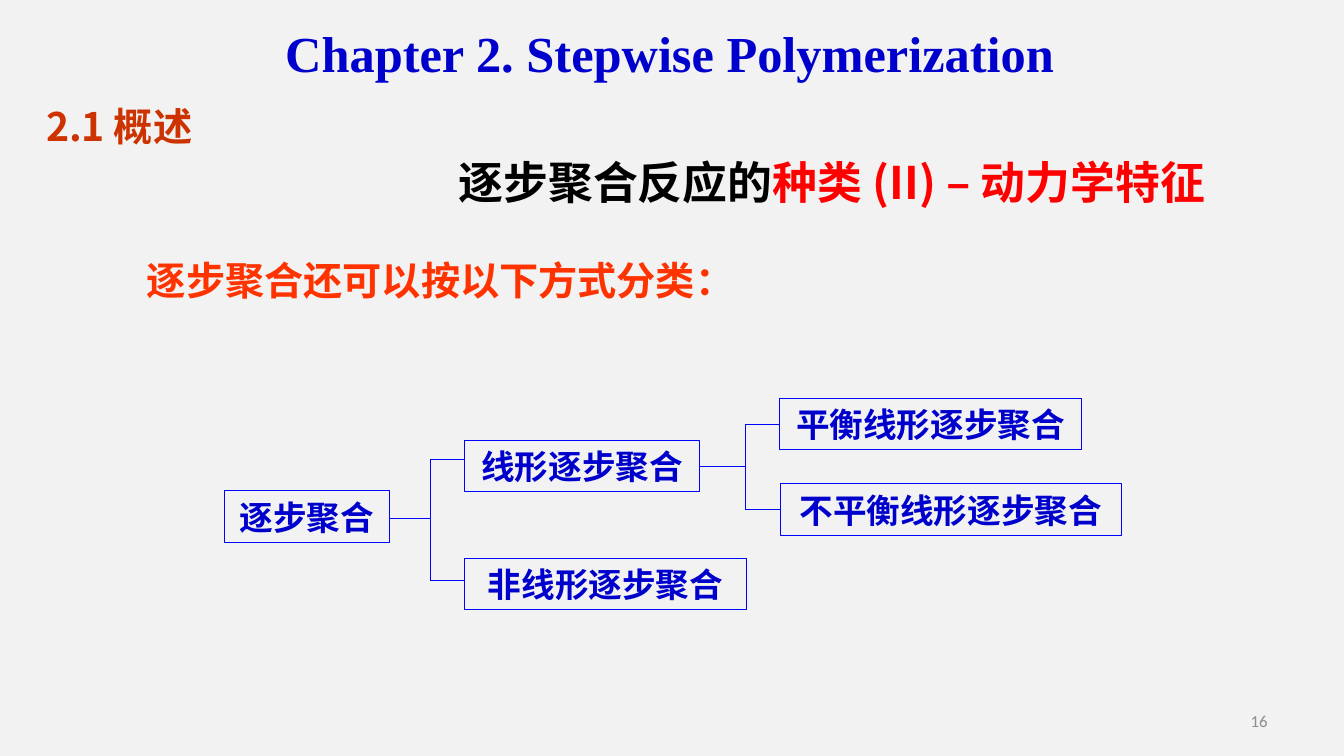
from lxml.etree import SubElement
from pptx import Presentation
from pptx.dml.color import RGBColor
from pptx.enum.shapes import MSO_CONNECTOR, MSO_SHAPE
from pptx.enum.text import MSO_ANCHOR, PP_ALIGN
from pptx.oxml.ns import qn
from pptx.util import Inches, Pt

WIDTH, HEIGHT = 13.33, 7.5
CHINESE = "Noto Sans CJK SC"
BACKGROUND, LINE, BOX_TEXT = "F2F2F2", "0000FF", "0000CC"

# (left, top, width, height), size, font, bold, alignment, runs of (text, colour)
TEXTS = [
    ((2.73, 0.16, 7.91, 0.71), 36, "Times New Roman", True, PP_ALIGN.LEFT,
     [("Chapter 2. Stepwise Polymerization", "0000CC")]),
    ((0.36, 0.96, 9.14, 0.57), 28, CHINESE, True, PP_ALIGN.LEFT,
     [("2.1 概述", "CC3300")]),
    ((4.45, 1.48, 8.52, 0.64), 32, CHINESE, True, PP_ALIGN.LEFT,
     [("逐步聚合反应的", "000000"), ("种类 (II) – 动力学特征", "FF0000")]),
    ((1.36, 2.53, 8.3, 0.5), 28, CHINESE, True, PP_ALIGN.LEFT,
     [("逐步聚合还可以按以下方式分类：", "FF3300")]),
    ((9.56, 6.95, 3.11, 0.4), 12, "Calibri", False, PP_ALIGN.RIGHT,
     [("16", "8C8C8C")]),
]

BOX_HEIGHT = 0.51
# name: (left, top, width)
BOXES = {
    "逐步聚合": (2.23, 4.87, 1.63),
    "线形逐步聚合": (4.61, 4.37, 2.33),
    "非线形逐步聚合": (4.61, 5.54, 2.79),
    "平衡线形逐步聚合": (7.73, 3.95, 3.0),
    "不平衡线形逐步聚合": (7.74, 4.8, 3.38),
}
# parent, x of the trunk, y of the stem, {child: y of its branch}
BRANCHES = [
    ("逐步聚合", 4.27, 5.14, {"线形逐步聚合": 4.56, "非线形逐步聚合": 5.76}),
    ("线形逐步聚合", 7.39, 4.63, {"平衡线形逐步聚合": 4.21, "不平衡线形逐步聚合": 5.05}),
]


def colour(value):
    return RGBColor.from_string(value)


def write(shape, runs, size, font, bold, alignment):
    frame = shape.text_frame
    frame.word_wrap = True
    frame.vertical_anchor = MSO_ANCHOR.MIDDLE
    paragraph = frame.paragraphs[0]
    paragraph.alignment = alignment
    for text, value in runs:
        run = paragraph.add_run()
        run.text = text
        run.font.size = Pt(size)
        run.font.name = font
        run.font.bold = bold
        run.font.color.rgb = colour(value)
        east_asian = SubElement(run.font._element, qn("a:ea"))
        east_asian.set("typeface", font)


def add_box(slide, name, left, top, width):
    box = slide.shapes.add_shape(
        MSO_SHAPE.RECTANGLE, *map(Inches, (left, top, width, BOX_HEIGHT)))
    box.shadow.inherit = False
    box.fill.background()
    box.line.color.rgb = colour(LINE)
    box.line.width = Pt(0.75)
    write(box, [(name, BOX_TEXT)], 24, CHINESE, True, PP_ALIGN.CENTER)


def add_line(slide, *ends):
    line = slide.shapes.add_connector(MSO_CONNECTOR.STRAIGHT, *map(Inches, ends))
    line.line.color.rgb = colour(LINE)
    line.line.width = Pt(0.75)
    SubElement(line._element.spPr, qn("a:effectLst"))


def add_branch(slide, parent, trunk, stem, children):
    """Draw the stem from the parent, then a trunk part and a branch to each child."""
    left, _, width = BOXES[parent]
    add_line(slide, left + width, stem, trunk, stem)
    for child, level in children.items():
        add_line(slide, trunk, stem, trunk, level)
        add_line(slide, trunk, level, BOXES[child][0], level)


def main():
    presentation = Presentation()
    presentation.slide_width = Inches(WIDTH)
    presentation.slide_height = Inches(HEIGHT)
    slide = presentation.slides.add_slide(presentation.slide_layouts[6])
    slide.background.fill.solid()
    slide.background.fill.fore_color.rgb = colour(BACKGROUND)
    for place, size, font, bold, alignment, runs in TEXTS:
        text_box = slide.shapes.add_textbox(*map(Inches, place))
        write(text_box, runs, size, font, bold, alignment)
    for name, place in BOXES.items():
        add_box(slide, name, *place)
    for branch in BRANCHES:
        add_branch(slide, *branch)
    presentation.save("out.pptx")


if __name__ == "__main__":
    main()
